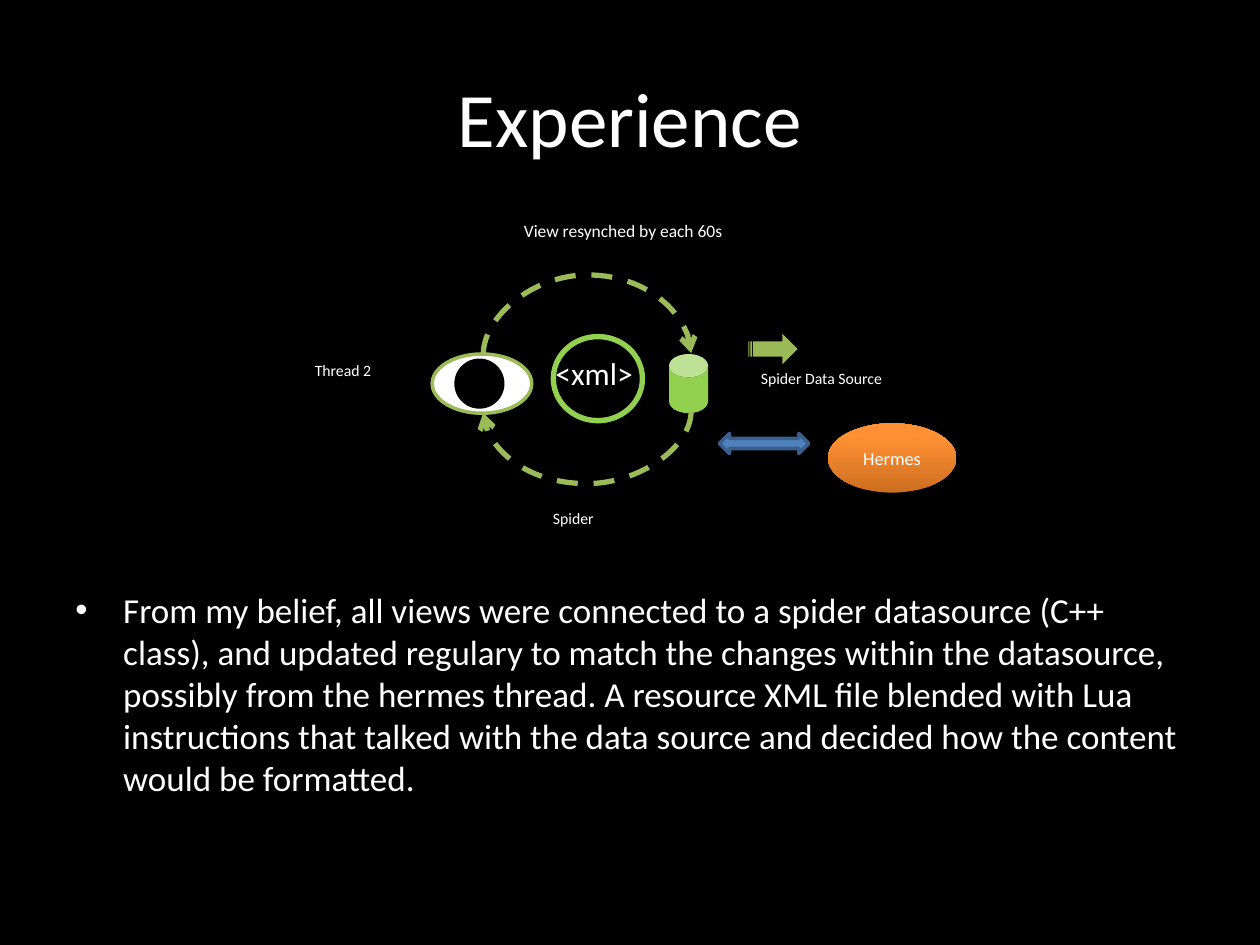
from lxml import etree
from pptx import Presentation, util as u
from pptx.dml.color import RGBColor
from pptx.enum import dml, shapes, text
from pptx.oxml.ns import qn

COLOURS = {
    "background": "000000", "text": "FFFFFF", "sync": "9BBB59",
    "data": "92D050", "eye": "FFFFFF", "pupil": "000000",
    "link": "4F81BD", "link edge": "3A5F8C",
    "hermes dark": "CC6E20", "hermes light": "FF9034",
}
SHAPE = shapes.MSO_SHAPE
ALIGN = text.PP_ALIGN
ANCHOR = text.MSO_ANCHOR


def colour(name):
    return RGBColor.from_string(COLOURS[name])


class SlideBuilder:
    """Holds the slide being drawn and its text style."""

    font = "Calibri"

    def __init__(self, slide):
        self.slide = slide
        slide.background.fill.solid()
        slide.background.fill.fore_color.rgb = colour("background")

    def set_text(self, frame, words, size, align=ALIGN.LEFT, anchor=ANCHOR.TOP):
        frame.word_wrap = True
        frame.vertical_anchor = anchor
        frame.text = words
        paragraph = frame.paragraphs[0]
        paragraph.alignment = align
        font = paragraph.runs[0].font
        font.name, font.size = self.font, u.Pt(size)
        font.color.rgb = colour("text")
        return paragraph

    def label(self, box, words, size, **layout):
        textbox = self.slide.shapes.add_textbox(*map(u.Inches, box))
        return self.set_text(textbox.text_frame, words, size, **layout)

    def bullet(self, box, words, size):
        paragraph = self.label(box, words, size)
        paragraph.space_before = u.Pt(size * 0.2)
        properties = paragraph._p.get_or_add_pPr()
        indent = u.Inches(0.38)
        properties.set("marL", str(indent))
        properties.set("indent", str(-indent))
        etree.SubElement(properties, qn("a:buFont"), typeface="Arial")
        etree.SubElement(properties, qn("a:buChar"), char="•")

    def shape(self, kind, box, fill, edge=None, adjust=None):
        shape = self.slide.shapes.add_shape(kind, *map(u.Inches, box))
        shape.shadow.inherit = False
        shape.fill.solid()
        shape.fill.fore_color.rgb = colour(fill)
        if edge:
            shape.line.color.rgb = colour(edge)
            shape.line.width = u.Pt(2)
        else:
            shape.line.fill.background()
        if adjust is not None:
            shape.adjustments[0] = adjust
        return shape

    def gradient(self, shape, start, end, end_position, angle):
        shape.fill.gradient()
        shape.fill.gradient_angle = angle
        stops = shape.fill.gradient_stops
        for stop, name, position in zip(stops, (start, end), (0, end_position)):
            stop.color.rgb = colour(name)
            stop.position = position

    def sync_arc(self, middle, span, bulge, over):
        """Dashed arc bulging up (over) or down; a thin curve turned 90 degrees."""
        x, y = map(u.Inches, middle)
        thin, half = u.Pt(1), u.Inches(span / 2)
        ends = [(x - thin // 2, y - half), (x + thin // 2, y + half)]
        if over:
            ends.reverse()
        arc = self.slide.shapes.add_connector(
            shapes.MSO_CONNECTOR.CURVE, *ends[0], *ends[1])
        arc.line.color.rgb = colour("sync")
        arc.line.width = u.Pt(3)
        arc.line.dash_style = dml.MSO_LINE.DASH
        properties = arc._element.spPr
        properties.find(qn("a:xfrm")).set("rot", str(90 * 60000))
        geometry = properties.find(qn("a:prstGeom"))
        adjustments = geometry.find(qn("a:avLst"))
        if adjustments is None:
            adjustments = etree.SubElement(geometry, qn("a:avLst"))
        ratio = round(u.Inches(bulge) / thin * 100000)
        etree.SubElement(adjustments, qn("a:gd"), name="adj1", fmla=f"val {ratio}")
        etree.SubElement(properties.find(qn("a:ln")), qn("a:tailEnd"), type="arrow")
        etree.SubElement(properties, qn("a:effectLst"))


def main():
    deck = Presentation()
    deck.slide_width, deck.slide_height = u.Inches(10), u.Inches(7.5)
    page = SlideBuilder(deck.slides.add_slide(deck.slide_layouts[6]))

    page.label((0.5, 0.3, 9, 1.25), "Experience", 44,
               align=ALIGN.CENTER, anchor=ANCHOR.MIDDLE)
    page.bullet(
        (0.5, 4.62, 9, 2.08),
        "From my belief, all views were connected to a spider datasource "
        "(C++ class), and updated regulary to match the changes within the "
        "datasource, possibly from the hermes thread. A resource XML file "
        "blended with Lua instructions that talked with the data source and "
        "decided how the content would be formatted.", 20)

    page.sync_arc((4.66, 2.81), 1.65, bulge=0.64, over=True)
    page.shape(SHAPE.DONUT, (4.37, 2.65, 0.75, 0.71), "data", adjust=0.06)
    page.shape(SHAPE.CAN, (5.31, 2.81, 0.31, 0.47), "data", adjust=0.6)
    page.shape(SHAPE.OVAL, (3.43, 2.81, 0.79, 0.47), "eye", edge="sync")
    page.shape(SHAPE.OVAL, (3.62, 2.86, 0.37, 0.37), "pupil", edge="pupil")
    page.sync_arc((4.66, 3.27), 1.65, bulge=0.58, over=False)
    page.shape(SHAPE.STRIPED_RIGHT_ARROW, (5.94, 2.65, 0.39, 0.24), "sync")

    page.label((4.31, 2.76, 1.57, 0.4), "<xml>", 18)
    for left, top, name in ((2.4, 2.81, "Thread 2"), (4.29, 3.99, "Spider"),
                            (5.94, 2.88, "Spider Data Source")):
        page.label((left, top, 1.26, 0.25), name, 9)
    page.label((4.06, 1.7, 2.44, 0.27), "View resynched by each 60s", 10)

    page.shape(SHAPE.LEFT_RIGHT_ARROW, (5.71, 3.44, 0.71, 0.16), "link",
               edge="link edge")
    hermes = page.shape(SHAPE.OVAL, (6.57, 3.36, 1.02, 0.55), "hermes light")
    page.gradient(hermes, "hermes dark", "hermes light", 0.8, angle=90)
    page.set_text(hermes.text_frame, "Hermes", 10.5,
                  align=ALIGN.CENTER, anchor=ANCHOR.MIDDLE)

    deck.save("out.pptx")


if __name__ == "__main__":
    main()
